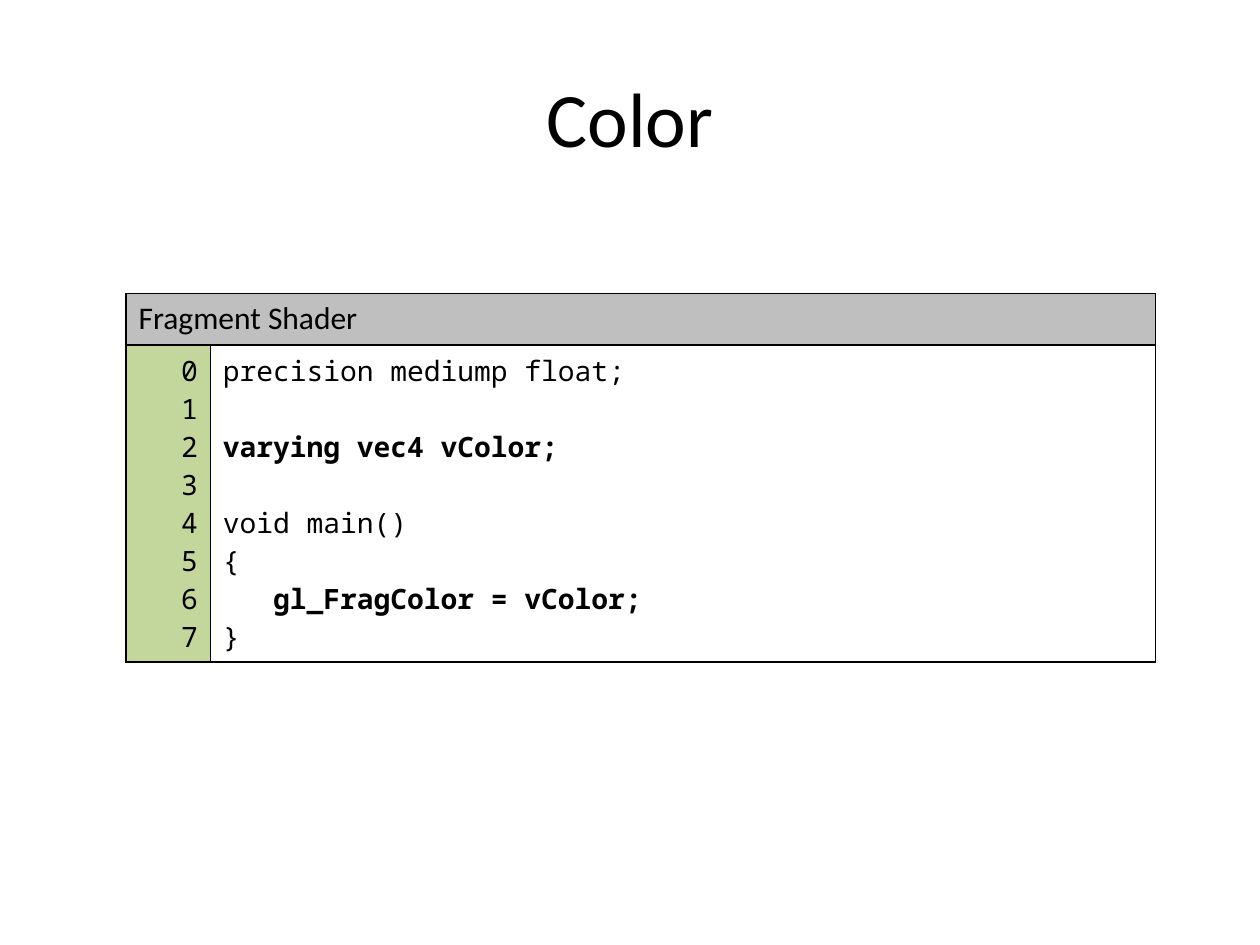
import pptx
import pptx.util
import pptx.dml.color
import pptx.enum.text
import pptx.oxml.ns
from lxml import etree

Inches = pptx.util.Inches
ALIGN = pptx.enum.text.PP_ALIGN
qn = pptx.oxml.ns.qn

COLORS = {"text": "000000", "background": "FFFFFF", "header": "BFBFBF",
          "line_numbers": "C3D69B", "border": "000000"}
TITLE = {"name": "Calibri", "size": pptx.util.Pt(44)}
HEADING = {"name": "Calibri", "size": pptx.util.Pt(18)}
CODE = {"name": "Noto Sans Mono", "size": pptx.util.Pt(16)}

SHADER = """precision mediump float;

varying vec4 vColor;

void main()
{
   gl_FragColor = vColor;
}""".split("\n")
EMPHASIZED = {2, 6}


def rgb(role):
    return pptx.dml.color.RGBColor.from_string(COLORS[role])


class SlideBuilder:
    def __init__(self, presentation):
        self.slide = presentation.slides.add_slide(presentation.slide_layouts[5])
        fill = self.slide.background.fill
        fill.solid()
        fill.fore_color.rgb = rgb("background")

    def fill_line(self, paragraph, text, style, align=ALIGN.LEFT, bold=False):
        paragraph.alignment = align
        if not text:
            self.size_empty_line(paragraph, style)
            return
        run = paragraph.add_run()
        run.text = text
        for attribute, value in {**style, "bold": bold}.items():
            setattr(run.font, attribute, value)
        run.font.color.rgb = rgb("text")

    def size_empty_line(self, paragraph, style):
        """Keep a blank line of code as tall as its neighbours."""
        end = etree.SubElement(paragraph._p, qn("a:endParaRPr"),
                               sz=str(int(style["size"].pt * 100)))
        etree.SubElement(end, qn("a:latin"), typeface=style["name"])

    def title(self, text, left, top, width, height):
        heading = self.slide.shapes.title
        heading.left, heading.top = Inches(left), Inches(top)
        heading.width, heading.height = Inches(width), Inches(height)
        heading.text_frame.vertical_anchor = pptx.enum.text.MSO_ANCHOR.MIDDLE
        self.fill_line(heading.text_frame.paragraphs[0], text, TITLE, ALIGN.CENTER)

    def cell(self, cell, lines, style, fill, align=ALIGN.LEFT, bold_lines=()):
        for index, line in enumerate(lines):
            frame = cell.text_frame
            paragraph = frame.add_paragraph() if index else frame.paragraphs[0]
            self.fill_line(paragraph, line, style, align, index in bold_lines)
        self.border(cell)
        cell.fill.solid()
        cell.fill.fore_color.rgb = rgb(fill)

    def border(self, cell):
        properties = cell._tc.get_or_add_tcPr()
        for side in ("a:lnL", "a:lnR", "a:lnT", "a:lnB"):
            edge = etree.SubElement(properties, qn(side), w=str(pptx.util.Pt(1)))
            solid = etree.SubElement(edge, qn("a:solidFill"))
            etree.SubElement(solid, qn("a:srgbClr"), val=COLORS["border"])

    def code_listing(self, heading, code, bold_lines, left, top, columns, rows):
        """Draw a heading row above numbered lines of code."""
        table = self.slide.shapes.add_table(
            len(rows), len(columns), Inches(left), Inches(top),
            Inches(sum(columns)), Inches(sum(rows))).table
        table.first_row = table.horz_banding = False
        for column, width in zip(table.columns, columns):
            column.width = Inches(width)
        for row, height in zip(table.rows, rows):
            row.height = Inches(height)
        table.cell(0, 0).merge(table.cell(0, 1))
        self.cell(table.cell(0, 0), [heading], HEADING, "header")
        self.border(table.cell(0, 1))
        numbers = [str(number) for number in range(len(code))]
        self.cell(table.cell(1, 0), numbers, CODE, "line_numbers", ALIGN.RIGHT)
        self.cell(table.cell(1, 1), code, CODE, "background",
                  bold_lines=bold_lines)


def main():
    presentation = pptx.Presentation()
    presentation.slide_width, presentation.slide_height = Inches(10), Inches(7.5)
    builder = SlideBuilder(presentation)
    builder.title("Color", 0.5, 0.3, 9, 1.25)
    builder.code_listing("Fragment Shader", SHADER, EMPHASIZED, left=1, top=2.33,
                         columns=(0.67, 7.5), rows=(0.41, 2.22))
    presentation.save("out.pptx")


if __name__ == "__main__":
    main()
